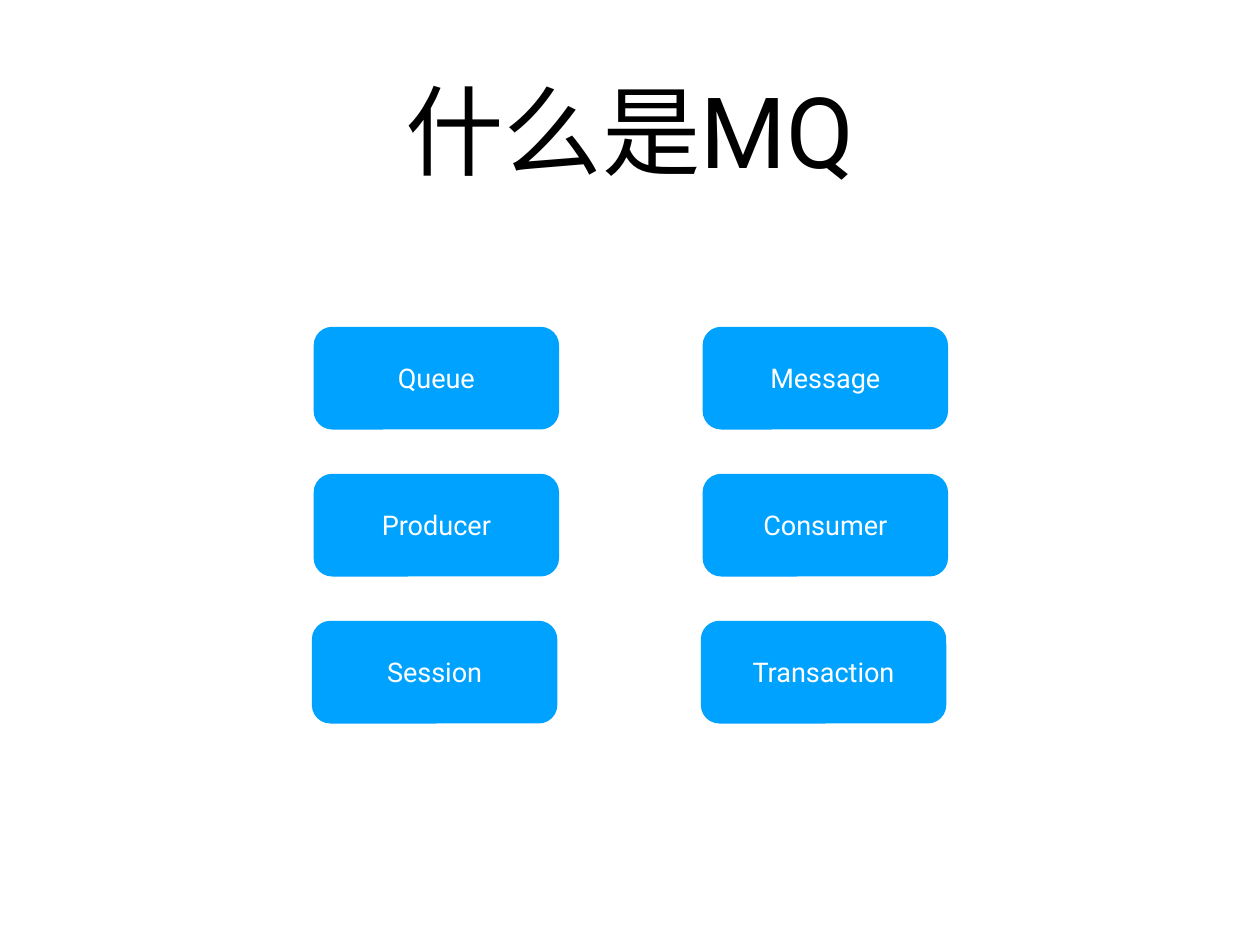
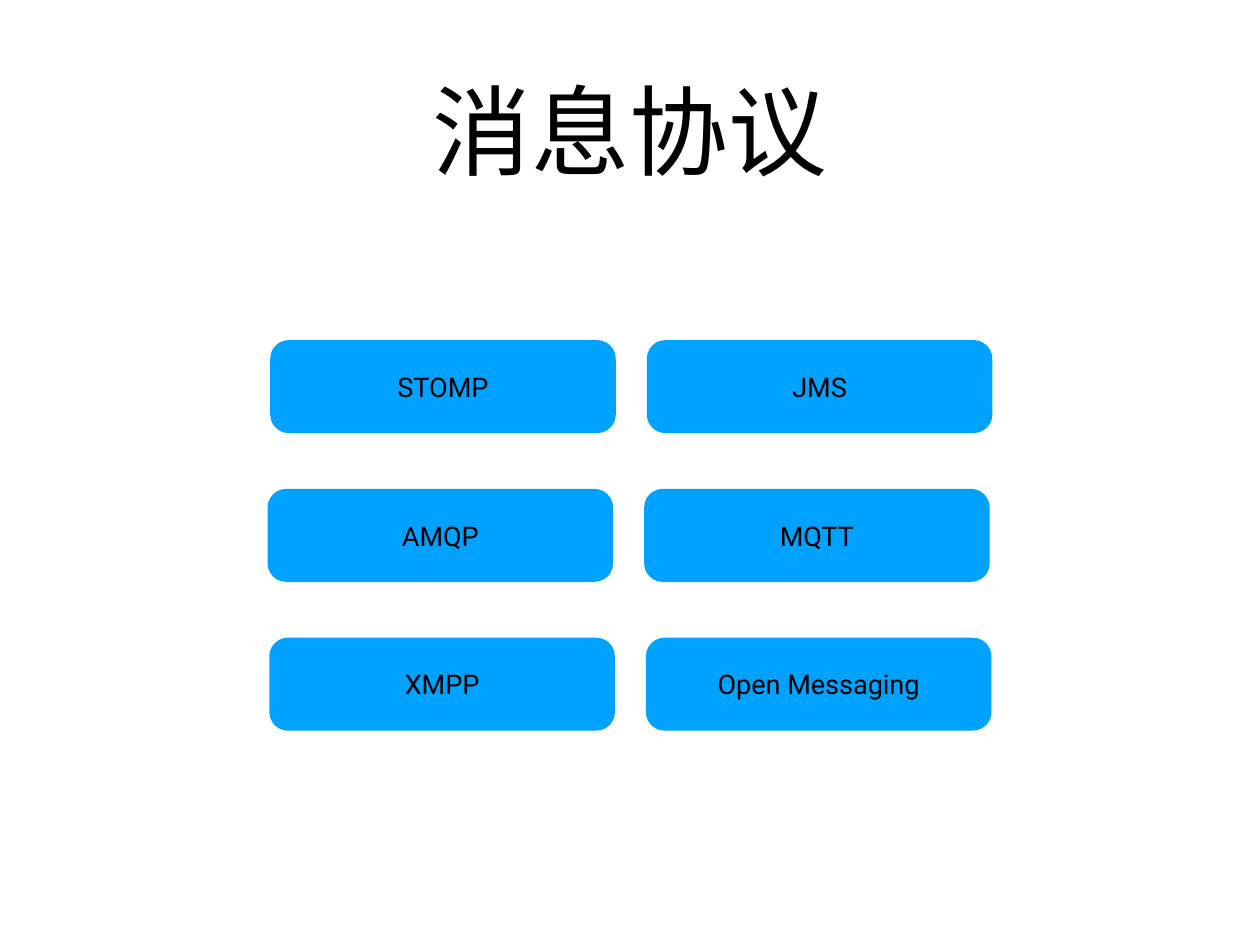
from dataclasses import dataclass

from pptx import Presentation
from pptx import util as u
from pptx.dml.color import RGBColor
from pptx.enum import shapes, text
from pptx.slide import Slide
from pptx.text.text import TextFrame


@dataclass(frozen=True)
class Theme:
    font: str = "Roboto"
    title_size: int = 80
    box_size: int = 22
    black: RGBColor = RGBColor(0x00, 0x00, 0x00)
    white: RGBColor = RGBColor(0xFF, 0xFF, 0xFF)
    blue: RGBColor = RGBColor(0x00, 0xA2, 0xFF)
    inset: float = 0.06


@dataclass(frozen=True)
class BoxGrid:
    """Rounded boxes in rows, each row with its own left edge; lengths in inches."""
    row_lefts: tuple[float, ...]
    top: float
    width: float
    height: float
    column_step: float
    row_step: float
    corner: float
    text_color: RGBColor
    rows: tuple[tuple[str, ...], ...]


@dataclass(frozen=True)
class Topic:
    title: str
    grid: BoxGrid


THEME = Theme()

TOPICS = (
    Topic("什么是MQ", BoxGrid(
        row_lefts=(3.54, 3.54, 3.52), top=3.69, width=2.77, height=1.16,
        column_step=4.39, row_step=1.66, corner=0.18, text_color=THEME.white,
        rows=(("Queue", "Message"), ("Producer", "Consumer"),
              ("Session", "Transaction")))),
    Topic("消息协议", BoxGrid(
        row_lefts=(3.05, 3.02, 3.04), top=3.84, width=3.9, height=1.05,
        column_step=4.25, row_step=1.68, corner=0.2, text_color=THEME.black,
        rows=(("STOMP", "JMS"), ("AMQP", "MQTT"),
              ("XMPP", "Open Messaging")))),
)


def write_centred(frame: TextFrame, words: str, size: int, color: RGBColor) -> None:
    frame.word_wrap = True
    frame.vertical_anchor = text.MSO_ANCHOR.MIDDLE
    inset = u.Inches(THEME.inset)
    frame.margin_left = frame.margin_right = inset
    frame.margin_top = frame.margin_bottom = inset
    paragraph = frame.paragraphs[0]
    paragraph.text = words
    paragraph.alignment = text.PP_ALIGN.CENTER
    paragraph.font.name = THEME.font
    paragraph.font.size = u.Pt(size)
    paragraph.font.color.rgb = color


def add_title(slide: Slide, title: str) -> None:
    shape = slide.shapes.add_textbox(
        u.Inches(1.04), u.Inches(0.28), u.Inches(12.14), u.Inches(2.36))
    write_centred(shape.text_frame, title, THEME.title_size, THEME.black)


def add_boxes(slide: Slide, grid: BoxGrid) -> None:
    for row, (left, labels) in enumerate(zip(grid.row_lefts, grid.rows)):
        for column, label in enumerate(labels):
            shape = slide.shapes.add_shape(
                shapes.MSO_SHAPE.ROUNDED_RECTANGLE,
                u.Inches(left + column * grid.column_step),
                u.Inches(grid.top + row * grid.row_step),
                u.Inches(grid.width), u.Inches(grid.height))
            shape.adjustments[0] = grid.corner
            shape.shadow.inherit = False
            shape.fill.solid()
            shape.fill.fore_color.rgb = THEME.blue
            shape.line.fill.background()
            write_centred(shape.text_frame, label, THEME.box_size, grid.text_color)


def main() -> None:
    presentation = Presentation()
    presentation.slide_width = u.Inches(14.22)
    presentation.slide_height = u.Inches(10.67)
    blank_layout = presentation.slide_layouts[6]

    # One slide per topic: title above a grid of boxes
    for topic in TOPICS:
        slide = presentation.slides.add_slide(blank_layout)
        add_title(slide, topic.title)
        add_boxes(slide, topic.grid)

    presentation.save("out.pptx")


if __name__ == "__main__":
    main()
